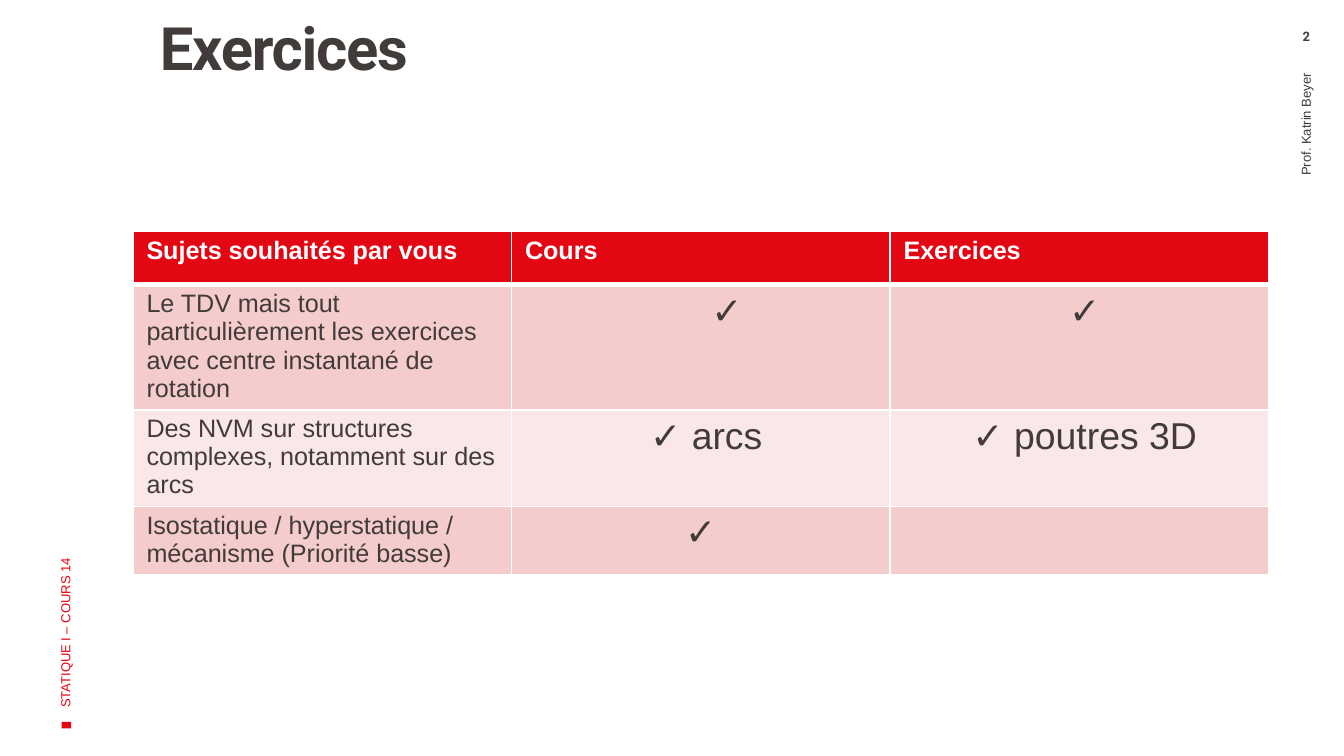
from dataclasses import dataclass

from lxml.etree import SubElement
from pptx import Presentation
from pptx.dml.color import RGBColor
from pptx.enum.shapes import MSO_SHAPE
from pptx.enum.text import MSO_ANCHOR, MSO_AUTO_SIZE, PP_ALIGN
from pptx.oxml.ns import qn
from pptx.util import Inches, Pt


@dataclass(frozen=True)
class Theme:
    red: str = "E30613"
    dark: str = "413C3A"
    white: str = "FFFFFF"
    band: str = "F4CCCC"
    light_band: str = "FAE7E7"
    body_font: str = "Arial"
    heading_font: str = "Roboto"
    title_size: float = 32
    check_size: float = 20
    table_size: float = 13.5
    small_size: float = 7


theme = Theme()


def add_text(paragraph, text, size, color, font=theme.body_font, bold=False):
    run = paragraph.add_run()
    run.text = text
    run.font.size = Pt(size)
    run.font.name = font
    run.font.bold = bold
    run.font.color.rgb = RGBColor.from_string(color)
    return run


def add_borders(cell, bottom_width):
    properties = cell._tc.get_or_add_tcPr()
    widths = {"a:lnL": 1, "a:lnR": 1, "a:lnT": 1, "a:lnB": bottom_width}
    for position, (side, width) in enumerate(widths.items()):
        line = SubElement(properties, qn(side), w=str(Pt(width)))
        fill = SubElement(line, qn("a:solidFill"))
        SubElement(fill, qn("a:srgbClr"), val=theme.white)
        properties.insert(position, line)


presentation = Presentation()
presentation.slide_width = Inches(10)
presentation.slide_height = Inches(10 * 9 / 16)
slide = presentation.slides.add_slide(presentation.slide_layouts[5])

marker = slide.shapes.add_shape(
    MSO_SHAPE.RECTANGLE, Inches(0.47), Inches(5.36), Inches(0.05), Inches(0.07)
)
marker.rotation = 270
marker.shadow.inherit = False
marker.fill.solid()
marker.fill.fore_color.rgb = RGBColor.from_string(theme.red)
marker.line.fill.background()

title = slide.shapes.title
title.left, title.top = Inches(0.99), Inches(0.14)
title.width, title.height = Inches(7.67), Inches(1.17)
title_frame = title.text_frame
title_frame.auto_size = MSO_AUTO_SIZE.NONE
title_frame.vertical_anchor = MSO_ANCHOR.TOP
title_frame.margin_left, title_frame.margin_right = Inches(0.2), Inches(0.08)
title_frame.margin_top, title_frame.margin_bottom = Inches(0), Inches(0.05)
title_paragraph = title_frame.paragraphs[0]
title_paragraph.alignment = PP_ALIGN.LEFT
title_paragraph.line_spacing = 0.9
title_run = add_text(
    title_paragraph, "Exercices", theme.title_size, theme.dark, theme.heading_font, True
)
title_run._r.get_or_add_rPr().set("spc", "-70")

rows = [
    ["Sujets souhaités par vous", "Cours", "Exercices"],
    ["Le TDV mais tout particulièrement les exercices avec centre instantané de rotation", "✓", "✓"],
    ["Des NVM sur structures complexes, notamment sur des arcs", "✓ arcs", "✓ poutres 3D"],
    ["Isostatique / hyperstatique / mécanisme (Priorité basse)", "✓", ""],
]
row_heights = [0.4, 0.93, 0.72, 0.51]
row_fills = [theme.red, theme.band, theme.light_band, theme.band]
check_indents = {(1, 1): 0.39, (1, 2): 0.08, (2, 1): 0.08, (2, 2): 0.08}

table = slide.shapes.add_table(
    len(rows), 3, Inches(0.99), Inches(1.72), Inches(8.45), Inches(sum(row_heights))
).table
for column in table.columns:
    column.width = Inches(8.45 / 3)
for row_index, texts in enumerate(rows):
    table.rows[row_index].height = Inches(row_heights[row_index])
    is_header = row_index == 0
    for column_index, text in enumerate(texts):
        cell = table.cell(row_index, column_index)
        cell.fill.solid()
        cell.fill.fore_color.rgb = RGBColor.from_string(row_fills[row_index])
        add_borders(cell, 3 if is_header else 1)
        indent = check_indents.get((row_index, column_index), 0)
        cell.margin_left, cell.margin_right = Inches(0.1 + indent), Inches(0.1)
        cell.margin_top = cell.margin_bottom = Inches(0.04)
        if not text:
            continue
        is_check = not is_header and column_index > 0
        paragraph = cell.text_frame.paragraphs[0]
        paragraph.alignment = PP_ALIGN.CENTER if is_check else PP_ALIGN.LEFT
        add_text(
            paragraph,
            text,
            theme.check_size if is_check else theme.table_size,
            theme.white if is_header else theme.dark,
            bold=is_header,
        )

side_labels = [
    ("STATIQUE I – COURS 14", (-1.34, 3.04, 3.65, 1), theme.red, PP_ALIGN.LEFT),
    ("Prof. Katrin Beyer", (7.78, 2.05, 3.87, 0.56), theme.dark, PP_ALIGN.RIGHT),
]
for text, bounds, color, alignment in side_labels:
    label = slide.shapes.add_textbox(*map(Inches, bounds))
    label.rotation = 270
    label.text_frame.word_wrap = True
    label.text_frame.vertical_anchor = MSO_ANCHOR.MIDDLE
    label.text_frame.margin_right = Inches(0.15)
    paragraph = label.text_frame.paragraphs[0]
    paragraph.alignment = alignment
    add_text(paragraph, text, theme.small_size, color)

page_number = slide.shapes.add_textbox(Inches(9.44), Inches(0.21), Inches(0.56), Inches(0.18))
page_number.text_frame.word_wrap = True
page_number.text_frame.margin_top = page_number.text_frame.margin_bottom = Inches(0)
number_paragraph = page_number.text_frame.paragraphs[0]
number_paragraph.alignment = PP_ALIGN.CENTER
add_text(number_paragraph, "2", theme.small_size, theme.dark, theme.heading_font, True)

presentation.save("out.pptx")
